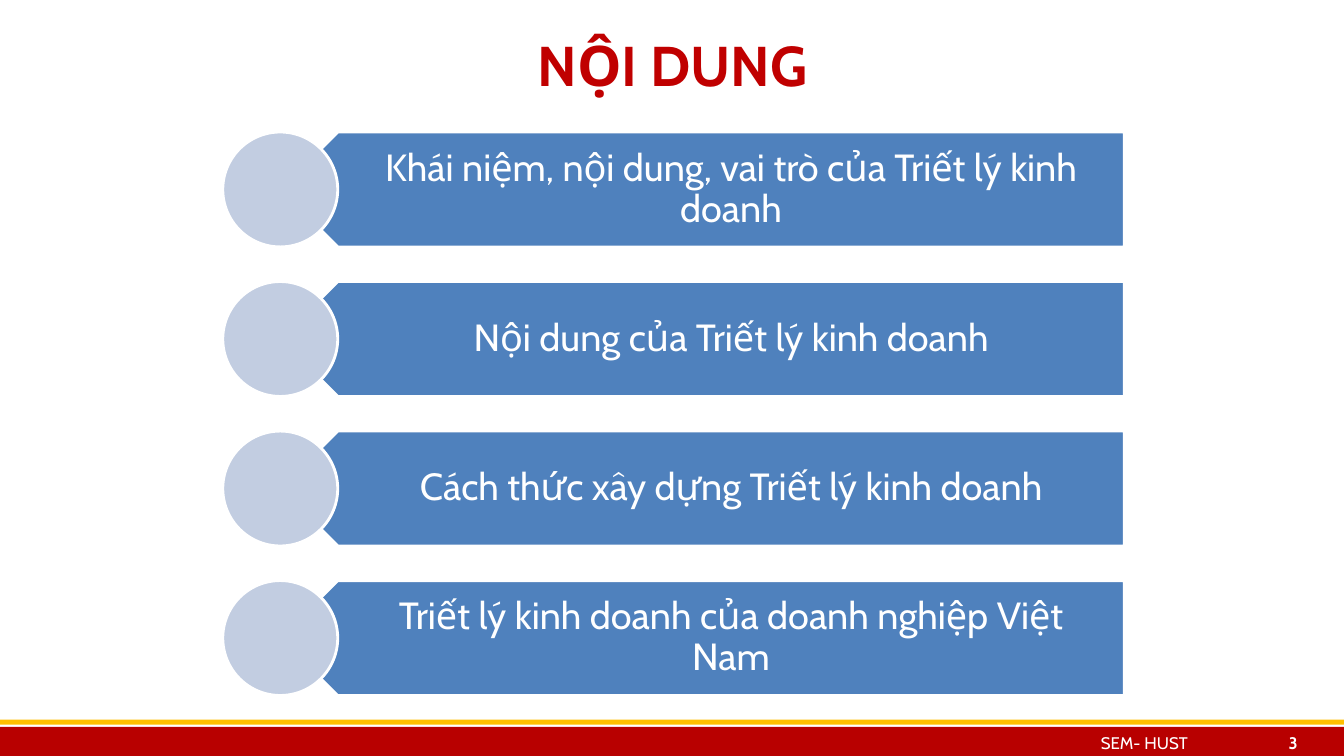
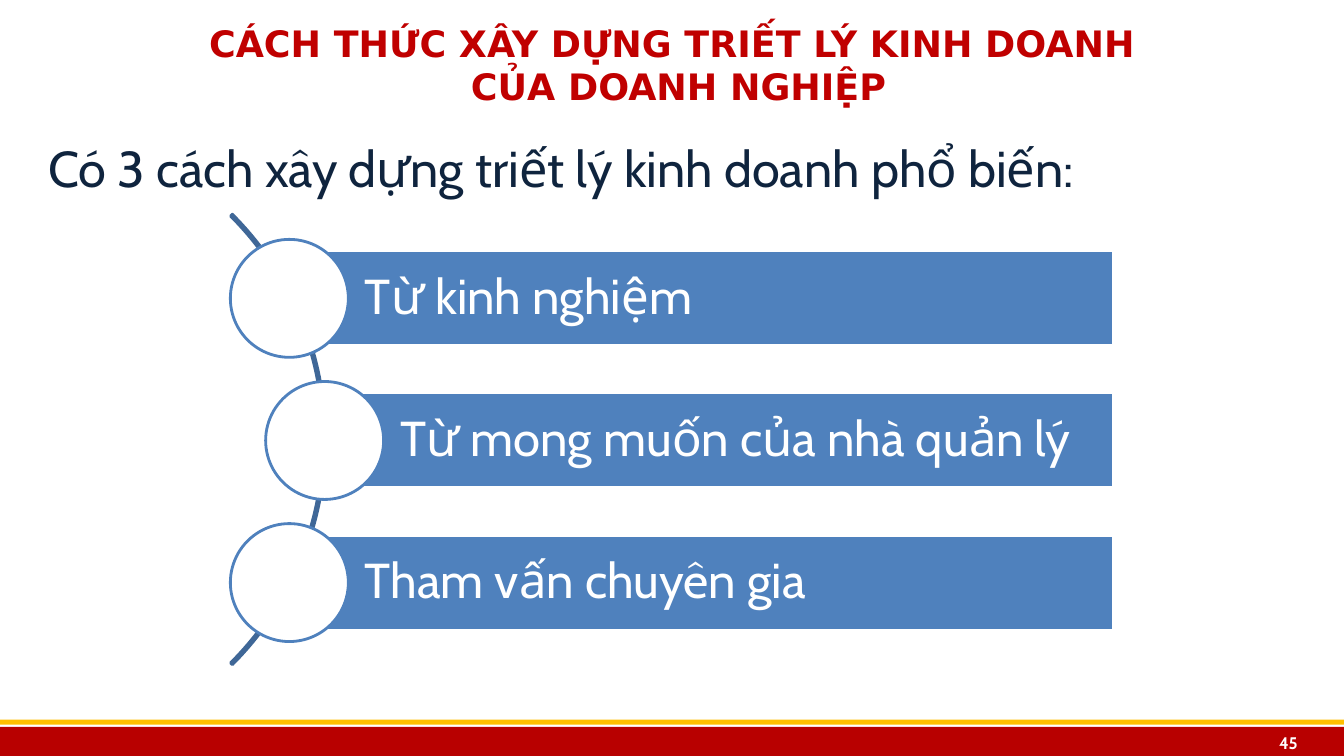
from pptx import Presentation
from pptx.dml.color import RGBColor
from pptx.enum.shapes import MSO_SHAPE as KIND
from pptx.enum.text import MSO_ANCHOR as ANCHOR, PP_ALIGN as ALIGN
from pptx.util import Inches, Pt

COLORS = {"red": "C00000", "band": "B80000", "gold": "FFC000", "blue": "4F81BD",
          "pale": "C2CDE1", "arc": "3F6797", "navy": "0F243E", "white": "FFFFFF"}


def draw(slide, kind, box, fill=None, line=None):
    """Add a preset shape; box is left, top, width, height in inches."""
    shape = slide.shapes.add_shape(kind, *map(Inches, box))
    shape.shadow.inherit = False
    if fill:
        shape.fill.solid()
        shape.fill.fore_color.rgb = RGBColor.from_string(COLORS[fill])
    else:
        shape.fill.background()
    if line:
        shape.line.color.rgb = RGBColor.from_string(COLORS[line])
        shape.line.width = Pt(2)
    else:
        shape.line.fill.background()
    return shape


def write(slide, text, box, size, color="white", font="Cabin", bold=False,
          align=ALIGN.CENTER, anchor=ANCHOR.MIDDLE, inset=(0.1, 0.05, 0.1, 0.05),
          spacing=None, before=0):
    """Add a text box; box and inset are in inches."""
    frame = slide.shapes.add_textbox(*map(Inches, box)).text_frame
    frame.word_wrap = True
    frame.vertical_anchor = anchor
    (frame.margin_left, frame.margin_top,
     frame.margin_right, frame.margin_bottom) = map(Inches, inset)
    para = frame.paragraphs[0]
    para.text = text
    para.alignment = align
    para.line_spacing = spacing
    para.space_before = Pt(before)
    for run in para.runs:
        run.font.name = font
        run.font.size = Pt(size)
        run.font.bold = bold
        run.font.color.rgb = RGBColor.from_string(COLORS[color])


deck = Presentation()
deck.slide_width, deck.slide_height = Inches(13.33), Inches(7.5)

# Shared bands, titles and page numbers
titles = [
    ("NỘI DUNG", 40, "Cabin", "3"),
    ("CÁCH THỨC XÂY DỰNG TRIẾT LÝ KINH DOANH\n CỦA DOANH NGHIỆP", 26, "DejaVu Sans", "45"),
]
flat = (0.1, 0, 0.1, 0)
for title, size, font, page in titles:
    slide = deck.slides.add_slide(deck.slide_layouts[6])
    draw(slide, KIND.RECTANGLE, (0, 7.21, 13.33, 0.31), "band")
    draw(slide, KIND.RECTANGLE, (-0.01, 7.14, 13.36, 0.05), "gold")
    write(slide, title, (0.37, 0.05, 12.6, 1.18), size, "red", font, bold=True)
    write(slide, page, (12.1, 7.21, 0.87, 0.31), 12, bold=True,
          align=ALIGN.RIGHT, inset=flat)
agenda, ways = deck.slides

# Agenda: four arrow bars, each with a disc on its tip
topics = ["Khái niệm, nội dung, vai trò của Triết lý kinh doanh",
          "Nội dung của Triết lý kinh doanh",
          "Cách thức xây dựng Triết lý kinh doanh",
          "Triết lý kinh doanh của doanh nghiệp Việt Nam"]
left, high, right = 2.78, 1.14, 11.15
for row, topic in enumerate(topics):
    top = 1.31 + row * 4.45 / 3
    bar = draw(agenda, KIND.PENTAGON, (left, top, right - left, high), "blue", "white")
    bar.rotation = 180
    write(agenda, topic, (3.06, top, right - 3.06, high), 27,
          inset=(0.5, 0.11, 0.21, 0.11), spacing=0.9)
    draw(agenda, KIND.OVAL, (left - high / 2, top, high, high), "pale", "white")
write(agenda, "SEM- HUST", (10.6, 7.21, 1.5, 0.31), 12, inset=flat)

# Ways: three bars whose discs follow an arc
write(ways, "Có 3 cách xây dựng triết lý kinh doanh phổ biến:", (0.38, 1.31, 12.6, 0.8),
      36, "navy", align=ALIGN.LEFT, anchor=ANCHOR.TOP, before=6)
arc = draw(ways, KIND.BLOCK_ARC, (-3.09, 1.2, 6.32, 6.32), line="arc")
for spot, value in enumerate((189, 27, 0.004)):
    arc.adjustments[spot] = value

steps = [("Từ kinh nghiệm", 2.87),
         ("Từ mong muốn của nhà quản lý", 3.22),
         ("Tham vấn chuyên gia", 2.87)]
high, disc, right = 0.94, 1.17, 11.04
for row, (step, left) in enumerate(steps):
    mid = 2.96 + row * 1.41
    box = (left, mid - high / 2, right - left, high)
    draw(ways, KIND.RECTANGLE, box, "blue", "white")
    write(ways, step, box, 35, align=ALIGN.LEFT, inset=(0.75, 0.1, 0.1, 0.1), spacing=0.9)
    draw(ways, KIND.OVAL, (left - disc / 2, mid - disc / 2, disc, disc), "white", "blue")

deck.save("out.pptx")
